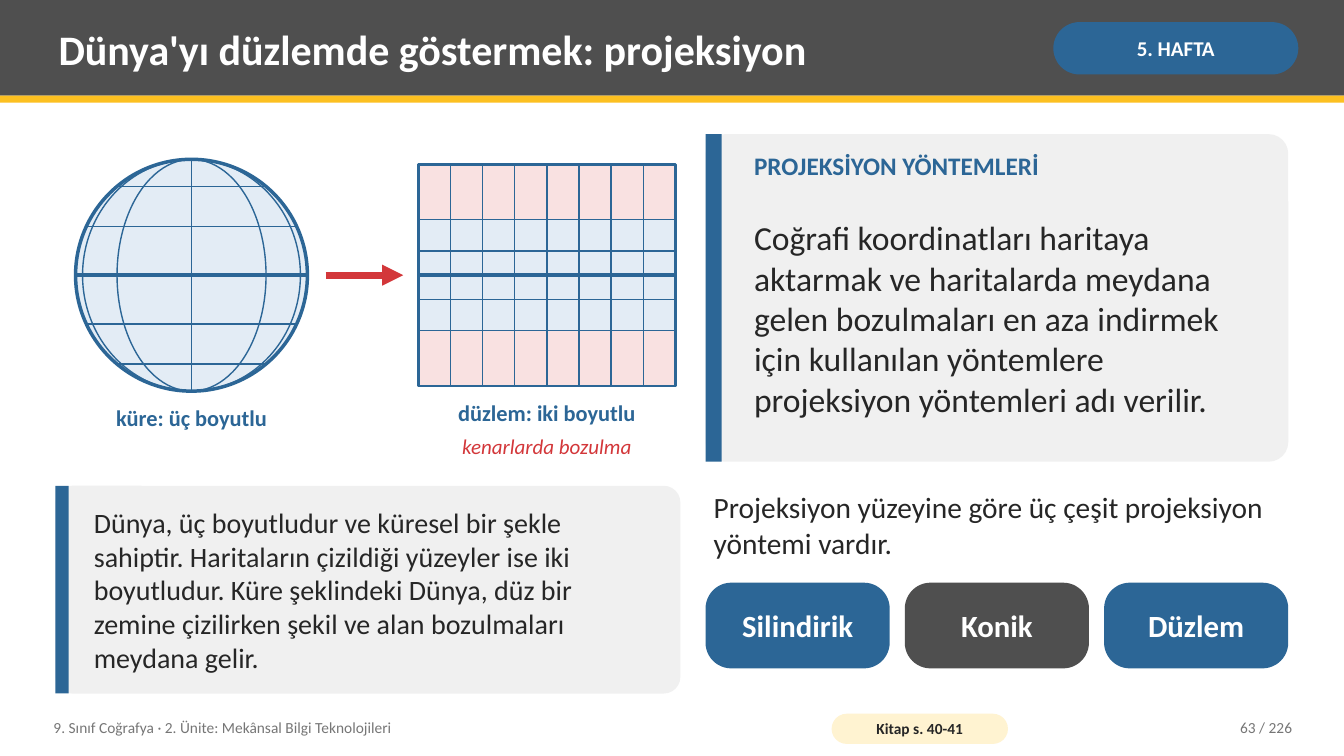
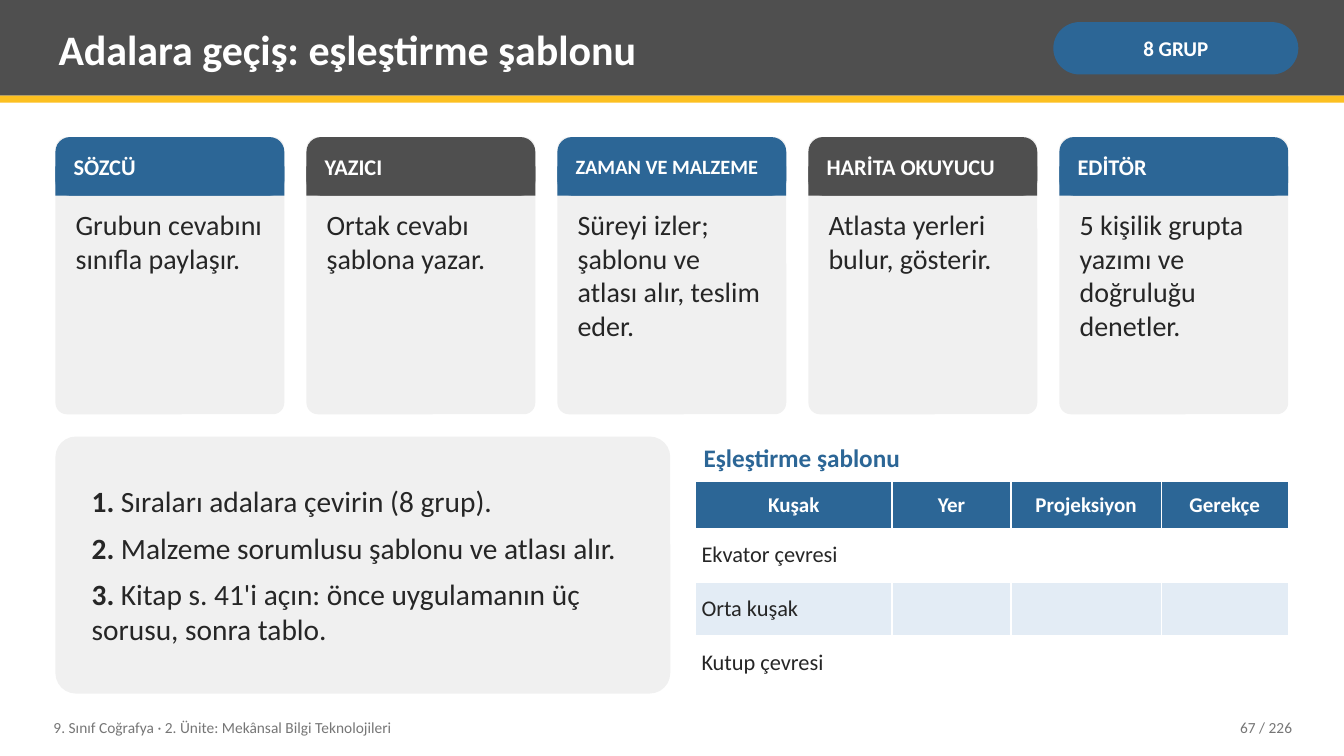
from math import cos, radians, sin

from lxml import etree
from pptx import Presentation
from pptx.dml.color import RGBColor
from pptx.enum import shapes, text
from pptx.oxml.ns import qn
from pptx.util import Pt

BLUE, GRAY, GOLD, RED = "2C6696", "4F4F4F", "FCC021", "D3373A"
PANEL, PALE, PINK, CREAM = "F0F0F0", "E3ECF5", "F9E1E1", "FFF3D1"
INK, MUTED, WHITE = "262626", "767676", "FFFFFF"
FONT = "Calibri"
W, H = 960, 540
LEFT, RIGHT, BOTTOM = 39.6, 920.2, 495.4
INSET = (5.8, 2.9)
RECT = shapes.MSO_SHAPE.RECTANGLE
ROUND = shapes.MSO_SHAPE.ROUNDED_RECTANGLE
OVAL = shapes.MSO_SHAPE.OVAL
START, CENTER, END = text.PP_ALIGN.LEFT, text.PP_ALIGN.CENTER, text.PP_ALIGN.RIGHT
TOP, MIDDLE = text.MSO_ANCHOR.TOP, text.MSO_ANCHOR.MIDDLE


def rgb(value):
    """Turn a hex string into a colour."""
    return RGBColor.from_string(value)


def points(box):
    """Turn a box of numbers into lengths in points."""
    return [Pt(round(v, 2)) for v in box]


def shape(s, box, fill=None, kind=RECT, adj=None, line=None, width=1):
    """Add a flat preset shape."""
    sp = s.shapes.add_shape(kind, *points(box))
    sp.shadow.inherit = False
    if adj is not None:
        sp.adjustments[0] = adj
    if fill:
        sp.fill.solid()
        sp.fill.fore_color.rgb = rgb(fill)
    else:
        sp.fill.background()
    if line:
        sp.line.color.rgb = rgb(line)
        sp.line.width = Pt(width)
    else:
        sp.line.fill.background()
    return sp


def connect(s, x1, y1, x2, y2, color=BLUE, width=1, arrow=False):
    """Add a straight line, with an arrowhead at its end if asked."""
    cn = s.shapes.add_connector(shapes.MSO_CONNECTOR.STRAIGHT, *points((x1, y1, x2, y2)))
    cn.line.color.rgb = rgb(color)
    cn.line.width = Pt(width)
    if arrow:
        etree.SubElement(cn.line._get_or_add_ln(), qn("a:tailEnd"), type="triangle")
    etree.SubElement(cn._element.spPr, qn("a:effectLst"))


def style(p, size, color=INK, bold=False, italic=False, align=START):
    """Set the font and alignment of a paragraph."""
    p.alignment = align
    p.font.name = FONT
    p.font.size = Pt(size)
    p.font.bold = bold
    p.font.italic = italic
    p.font.color.rgb = rgb(color)


def frame(sp, anchor=MIDDLE, inset=INSET):
    """Prepare the text frame of a shape."""
    tf = sp.text_frame
    tf.word_wrap = True
    tf.vertical_anchor = anchor
    tf.margin_left = tf.margin_right = Pt(inset[0])
    tf.margin_top = tf.margin_bottom = Pt(inset[1])
    return tf


def write(sp, words, size, anchor=MIDDLE, inset=INSET, **font):
    """Write one paragraph in a shape."""
    p = frame(sp, anchor, inset).paragraphs[0]
    p.text = words
    style(p, size, **font)


def label(s, box, words, size, **options):
    """Add a text box with one paragraph."""
    write(s.shapes.add_textbox(*points(box)), words, size, **options)


def pill(s, box, words, size, fill, color=WHITE, adj=0.5, inset=(3, 0)):
    """Add a rounded label with centred bold text."""
    sp = shape(s, box, fill, ROUND, adj)
    write(sp, words, size, inset=inset, color=color, bold=True, align=CENTER)


def base_slide(prs, title, tag, page):
    """Add a slide with title band, tag and footer."""
    s = prs.slides.add_slide(prs.slide_layouts[6])
    shape(s, (0, 0, W, 68.4), GRAY)
    shape(s, (0, 68.4, W, 5), GOLD)
    label(s, (36, 5, 702, 59), title, 30, color=WHITE, bold=True)
    pill(s, (752.4, 15.8, 175, 37.4), tag, 15, BLUE)
    label(s, (32.4, 506.9, 547.2, 25.9),
          "9. Sınıf Coğrafya · 2. Ünite: Mekânsal Bilgi Teknolojileri", 11, color=MUTED)
    label(s, (813.6, 506.9, 115.2, 25.9), f"{page} / 226", 11, color=MUTED, align=END)
    return s


def globe(s, x, y, d):
    """Draw a globe with its graticule in a square of side d."""
    r = d / 2
    cx, cy = x + r, y + r
    shape(s, (x, y, d, d), PALE, OVAL, line=BLUE, width=2.5)
    for lat in (-50, -25, 0, 25, 50):
        half, ly = r * cos(radians(lat)), cy - r * sin(radians(lat))
        connect(s, cx - half, ly, cx + half, ly, width=1 if lat else 2.5)
    connect(s, cx, y, cx, y + d)
    for lon in (40, 70):
        half = r * sin(radians(lon))
        shape(s, (cx - half, y, 2 * half, d), kind=OVAL, line=BLUE)


def flat_map(s, x, y, w, h):
    """Draw a plane grid with its stretched edges tinted."""
    shape(s, (x, y, w, h), PALE)
    for band in (y, y + h * 0.75):
        shape(s, (x, band, w, h / 4), PINK)
    shape(s, (x, y, w, h), line=BLUE, width=2)
    for i in range(1, 8):
        gx = x + w * i / 8
        connect(s, gx, y, gx, y + h)
    for part in (-0.5, -0.22, 0, 0.22, 0.5):
        gy = y + h / 2 * (1 + part)
        connect(s, x, gy, x + w, gy, width=1 if part else 2.5)


def accent_panel(s, box, adj, bar):
    """Add a rounded panel with a blue bar at its left edge."""
    x, y, w, h = box
    shape(s, box, PANEL, ROUND, adj)
    shape(s, (x, y, bar, h), BLUE)


def comparison(s, x, y):
    """Draw the globe, the arrow and the plane map with captions."""
    mid = y + 82.8
    globe(s, x + 14.4, y, 165.6)
    connect(s, x + 193, mid, x + 248.4, mid, RED, 5, arrow=True)
    flat_map(s, x + 259.2, mid - 79.2, 183.6, 158.4)
    caption = dict(color=BLUE, bold=True, align=CENTER)
    label(s, (x, y + 169.2, 194.4, 30.2), "küre: üç boyutlu", 16, **caption)
    label(s, (x + 248.4, y + 165.6, 205.2, 30.2), "düzlem: iki boyutlu", 16, **caption)
    label(s, (x + 248.4, y + 190.8, 205.2, 28.8), "kenarlarda bozulma", 15,
          color=RED, italic=True, align=CENTER)


def explanation(s, box):
    """Add the note on why flat maps distort."""
    x, y, w, h = box
    accent_panel(s, box, 0.08, 9.4)
    label(s, (x + 21.6, y, w - 32.4, h),
          "Dünya, üç boyutludur ve küresel bir şekle sahiptir. Haritaların çizildiği "
          "yüzeyler ise iki boyutludur. Küre şeklindeki Dünya, düz bir zemine çizilirken "
          "şekil ve alan bozulmaları meydana gelir.", 20)


def definition(s, box):
    """Add the definition of projection methods."""
    x, y, w, h = box
    accent_panel(s, box, 0.06, 11.5)
    label(s, (x + 28.8, y + 8.6, w - 43.2, 32.4), "PROJEKSİYON YÖNTEMLERİ", 18,
          anchor=TOP, color=BLUE, bold=True)
    label(s, (x + 28.8, y + 39.6, w - 43.2, h - 50.4),
          "Coğrafi koordinatları haritaya aktarmak ve haritalarda meydana gelen "
          "bozulmaları en aza indirmek için kullanılan yöntemlere projeksiyon "
          "yöntemleri adı verilir.", 24)


def method_types(s, x, y, w):
    """Add the three kinds of projection under their lead sentence."""
    label(s, (x, y, w, 61.2),
          "Projeksiyon yüzeyine göre üç çeşit projeksiyon yöntemi vardır.", 21)
    names, gap = ("Silindirik", "Konik", "Düzlem"), 10.8
    bw = (w - gap * 2) / 3
    for i, name in enumerate(names):
        pill(s, (x + i * (bw + gap), y + 72, bw, 61.2), name, 22,
             (BLUE, GRAY)[i % 2], adj=0.3, inset=(10, 5.8))


def role_card(s, box, role, duty, fill, size):
    """Add one group role with its duty."""
    x, y, w, h = box
    head = 41.8
    shape(s, box, PANEL, ROUND, 0.05)
    shape(s, (x, y, w, head), fill, ROUND, 0.25)
    shape(s, (x, y + head / 2, w, head / 2), fill)
    label(s, (x + 7.2, y, w - 14.4, head), role, size, color=WHITE, bold=True)
    label(s, (x + 8.6, y + 47.5, w - 17.2, h - 53.3), duty, 20, anchor=TOP)


def roles(s, x, y, w, h):
    """Add the row of role cards."""
    cards = (("SÖZCÜ", "Grubun cevabını sınıfla paylaşır."),
             ("YAZICI", "Ortak cevabı şablona yazar."),
             ("ZAMAN VE MALZEME", "Süreyi izler; şablonu ve atlası alır, teslim eder."),
             ("HARİTA OKUYUCU", "Atlasta yerleri bulur, gösterir."),
             ("EDİTÖR", "5 kişilik grupta yazımı ve doğruluğu denetler."))
    gap = 15.8
    cw = (w - gap * (len(cards) - 1)) / len(cards)
    for i, (role, duty) in enumerate(cards):
        role_card(s, (x + i * (cw + gap), y, cw, h), role, duty,
                  (BLUE, GRAY)[i % 2], 16 if len(role) < 15 else 14.5)


def steps(s, box):
    """Add the numbered instructions."""
    items = ("Sıraları adalara çevirin (8 grup).",
             "Malzeme sorumlusu şablonu ve atlası alır.",
             "Kitap s. 41'i açın: önce uygulamanın üç sorusu, sonra tablo.")
    tf = frame(shape(s, box, PANEL, ROUND, 0.08), inset=(21.6, 5.8))
    for i, item in enumerate(items, 1):
        p = tf.paragraphs[0] if i == 1 else tf.add_paragraph()
        style(p, 21)
        if i < len(items):
            p.space_after = Pt(8)
        r = p.add_run()
        r.text = f"{i}."
        r.font.bold = True
        p.add_run().text = f" {item}"


def template_table(s, x, y, w):
    """Add the matching template with its heading."""
    label(s, (x, y, w, 30.2), "Eşleştirme şablonu", 18, color=BLUE, bold=True)
    heads = ("Kuşak", "Yer", "Projeksiyon", "Gerekçe")
    zones = ("Ekvator çevresi", "Orta kuşak", "Kutup çevresi")
    rows = [heads] + [(zone, "", "", "") for zone in zones]
    heights = (33.1, 38.4, 38.4, 38.4)
    tbl = s.shapes.add_table(4, 4, *points((x, y + 32.4, w, sum(heights)))).table
    tbl.horz_banding = False
    for col, cw in zip(tbl.columns, (140.4, 85, 107.3, 90.7)):
        col.width = Pt(cw)
    for i, (row, words) in enumerate(zip(tbl.rows, rows)):
        row.height = Pt(heights[i])
        for cell, word in zip(row.cells, words):
            cell.fill.solid()
            cell.fill.fore_color.rgb = rgb((BLUE, WHITE, PALE, WHITE)[i])
            cell.vertical_anchor = MIDDLE
            cell.margin_left = cell.margin_right = Pt(4.3)
            cell.margin_top = cell.margin_bottom = Pt(3.6)
            p = cell.text_frame.paragraphs[0]
            p.text = word
            if i == 0:
                style(p, 15, WHITE, bold=True, align=CENTER)
            else:
                style(p, 16)


def projection_slide(prs):
    """Build the slide on showing the globe on a plane."""
    s = base_slide(prs, "Dünya'yı düzlemde göstermek: projeksiyon", "5. HAFTA", 63)
    x, y = 504, 344.2
    comparison(s, LEFT, 113.8)
    explanation(s, (LEFT, 347, 446.4, BOTTOM - 347))
    definition(s, (x, 95.8, RIGHT - x, 234))
    method_types(s, x, y, RIGHT - x)
    pill(s, (594, 509.8, 126, 21.6), "Kitap s. 40-41", 11, CREAM, INK)


def matching_slide(prs):
    """Build the slide with roles, steps and template."""
    s = base_slide(prs, "Adalara geçiş: eşleştirme şablonu", "8 GRUP", 67)
    x, y = 496.8, 311.8
    roles(s, LEFT, 97.9, RIGHT - LEFT, 198)
    steps(s, (LEFT, y, 439.2, BOTTOM - y))
    template_table(s, x, y, RIGHT - x)


def main():
    """Build and save the presentation."""
    prs = Presentation()
    prs.slide_width, prs.slide_height = Pt(W), Pt(H)
    projection_slide(prs)
    matching_slide(prs)
    prs.save("out.pptx")


if __name__ == "__main__":
    main()
